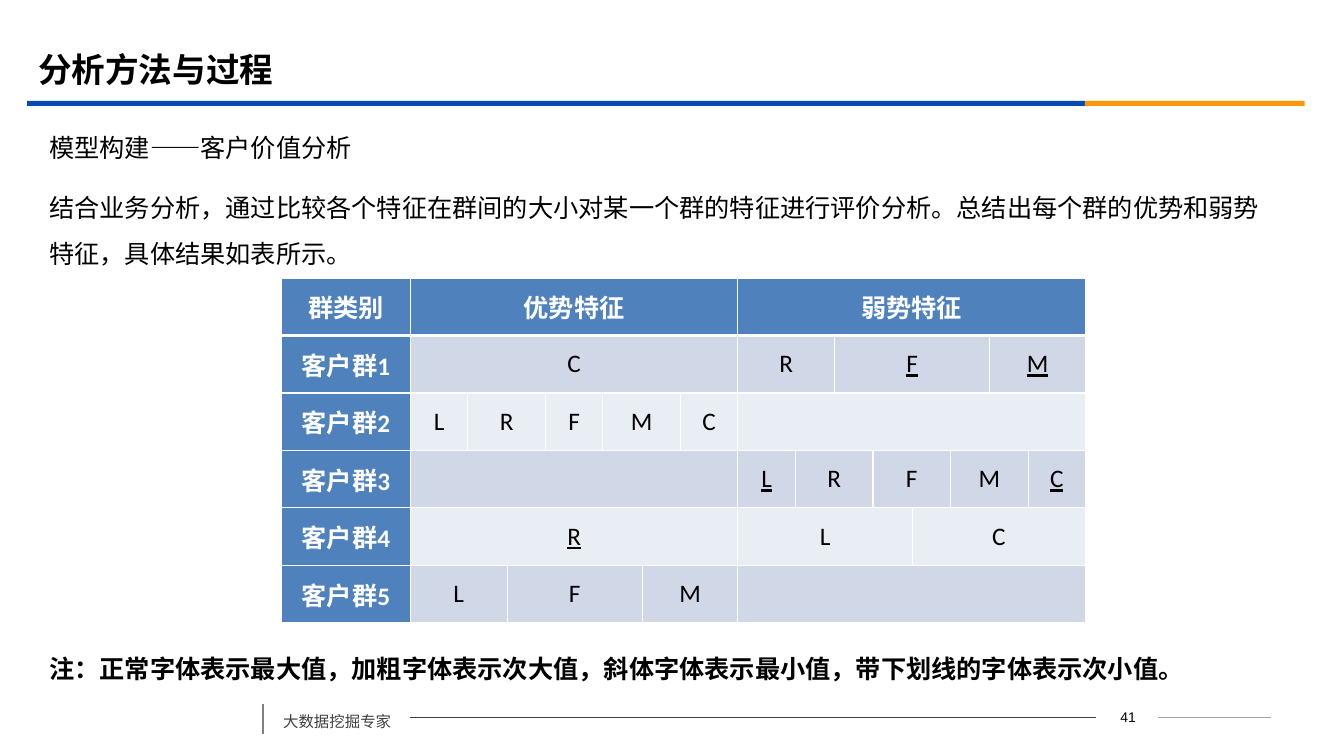
from lxml import etree
from pptx import Presentation
from pptx.dml.color import RGBColor
from pptx.enum.shapes import MSO_CONNECTOR as LINK, MSO_SHAPE as SHAPE
from pptx.enum.text import MSO_ANCHOR as ANCHOR, PP_ALIGN as ALIGN
from pptx.oxml.ns import qn
from pptx.util import Pt

PX = 9144  # 100 px to the inch
SANS = "Noto Sans CJK SC"
BLUE, WHITE, BLACK = "064BB2", "FFFFFF", "000000"


def rgb(code):
    return RGBColor.from_string(code)


def write(para, text, size, color=BLACK, face=SANS, **style):
    """Add a run; face sets Latin letters, Chinese always takes SANS."""
    run = para.add_run()
    run.text = text
    font = run.font
    font.color.rgb = rgb(color)
    for key, value in {"size": Pt(size), "name": face, **style}.items():
        setattr(font, key, value)
    east = etree.SubElement(font._element, qn("a:ea"))
    east.set("typeface", SANS)


deck = Presentation()
deck.slide_width, deck.slide_height = 1333 * PX, 750 * PX
slide = deck.slides.add_slide(deck.slide_layouts[6])
shapes = slide.shapes

# Rule under the title
for left, width, color in [(27, 1049, BLUE), (1076, 218, "FB9708")]:
    bar = shapes.add_shape(SHAPE.RECTANGLE, left * PX, 100 * PX, width * PX, 5 * PX)
    bar.shadow.inherit = False
    bar.fill.solid()
    bar.fill.fore_color.rgb = rgb(color)
    bar.line.fill.background()

# Footer lines
for x1, y1, x2, y2, color, weight in [
    (407, 712, 1087, 712, "404040", 0.75),
    (1149, 712, 1261, 712, "A6A6A6", 0.75),
    (261, 698, 261, 728, "808080", 1.25),
]:
    line = shapes.add_connector(LINK.STRAIGHT, x1 * PX, y1 * PX, x2 * PX, y2 * PX)
    line.line.color.rgb = rgb(color)
    line.line.width = Pt(weight)
    etree.SubElement(line._element.spPr, qn("a:effectLst"))

# Title, body, note and footer; pitch is the fixed line height in points
intro = [
    "模型构建——客户价值分析",
    "结合业务分析，通过比较各个特征在群间的大小对某一个群的特征进行评价分析。"
    "总结出每个群的优势和弱势特征，具体结果如表所示。",
]
note = ["注：正常字体表示最大值，加粗字体表示次大值，斜体字体表示最小值，带下划线的字体表示次小值。"]
for box, lines, size, pitch, look in [
    ((28, 39, 1200, 58), ["分析方法与过程"], 24, None, {"bold": True}),
    ((39, 111, 1235, 160), intro, 18, 33, {}),
    ((39, 627, 1235, 56), note, 18, 33, {"bold": True}),
    ((271, 697, 150, 38), ["大数据挖掘专家"], 11, None, {"color": "404040"}),
    ((1088, 699, 62, 25), ["41"], 10, None, {"face": "Arial"}),
]:
    frame = shapes.add_textbox(*[n * PX for n in box]).text_frame
    frame.word_wrap = True
    frame.vertical_anchor = ANCHOR.TOP if pitch else ANCHOR.MIDDLE
    for i, text in enumerate(lines):
        para = frame.paragraphs[0] if i == 0 else frame.add_paragraph()
        para.alignment = ALIGN.CENTER if text == "41" else ALIGN.LEFT
        if pitch:
            para.line_spacing = Pt(pitch)
        if i:
            para.space_before = Pt(9.5)
        write(para, text, size, **look)

# Table: each cell is (text, columns spanned); "_" marks underlined text
rows = [
    [("群类别", 1), ("优势特征", 7), ("弱势特征", 8)],
    [("客户群1", 1), ("C", 7), ("R", 2), ("_F", 4), ("_M", 2)],
    [("客户群2", 1), ("L", 1), ("R", 2), ("F", 1), ("M", 2), ("C", 1), ("", 8)],
    [("客户群3", 1), ("", 7), ("_L", 1), ("R", 2), ("F", 2), ("M", 2), ("_C", 1)],
    [("客户群4", 1), ("_R", 7), ("L", 4), ("C", 4)],
    [("客户群5", 1), ("L", 2), ("F", 3), ("M", 2), ("", 8)],
]
widths = [128, 57, 39, 38, 57, 39, 38, 57, 57, 39, 38, 39, 38, 39, 38, 57]
high = 57
grid = shapes.add_table(
    len(rows), len(widths), 279 * PX, 276 * PX, sum(widths) * PX, high * len(rows) * PX
).table
grid.first_row = grid.horz_banding = False
for col, width in zip(grid.columns, widths):
    col.width = width * PX

for r, row in enumerate(rows):
    grid.rows[r].height = high * PX
    for c in range(len(widths)):
        cell = grid.cell(r, c)
        props = cell._tc.get_or_add_tcPr()
        for side in ("L", "R", "T", "B"):
            thick = (r, side) in [(0, "B"), (1, "T")]
            edge = etree.SubElement(props, qn("a:ln" + side), w=str(Pt(3 if thick else 1)))
            fill = etree.SubElement(edge, qn("a:solidFill"))
            etree.SubElement(fill, qn("a:srgbClr"), val=WHITE)
        head = r == 0 or c == 0
        cell.fill.solid()
        cell.fill.fore_color.rgb = rgb("4F81BD" if head else "D0D8E8" if r % 2 else "E9EDF4")
        cell.margin_left = cell.margin_right = 5 * PX
        cell.margin_top = cell.margin_bottom = 0
        cell.vertical_anchor = ANCHOR.MIDDLE
    c = 0
    for text, span in row:
        cell = grid.cell(r, c)
        if span > 1:
            cell.merge(grid.cell(r, c + span - 1))
        if text:
            para = cell.text_frame.paragraphs[0]
            para.alignment = ALIGN.CENTER
            head = r == 0 or c == 0
            write(para, text.strip("_"), 18, WHITE if head else BLACK, "Calibri",
                  bold=head, underline=text.startswith("_"))
        c += span

deck.save("out.pptx")
